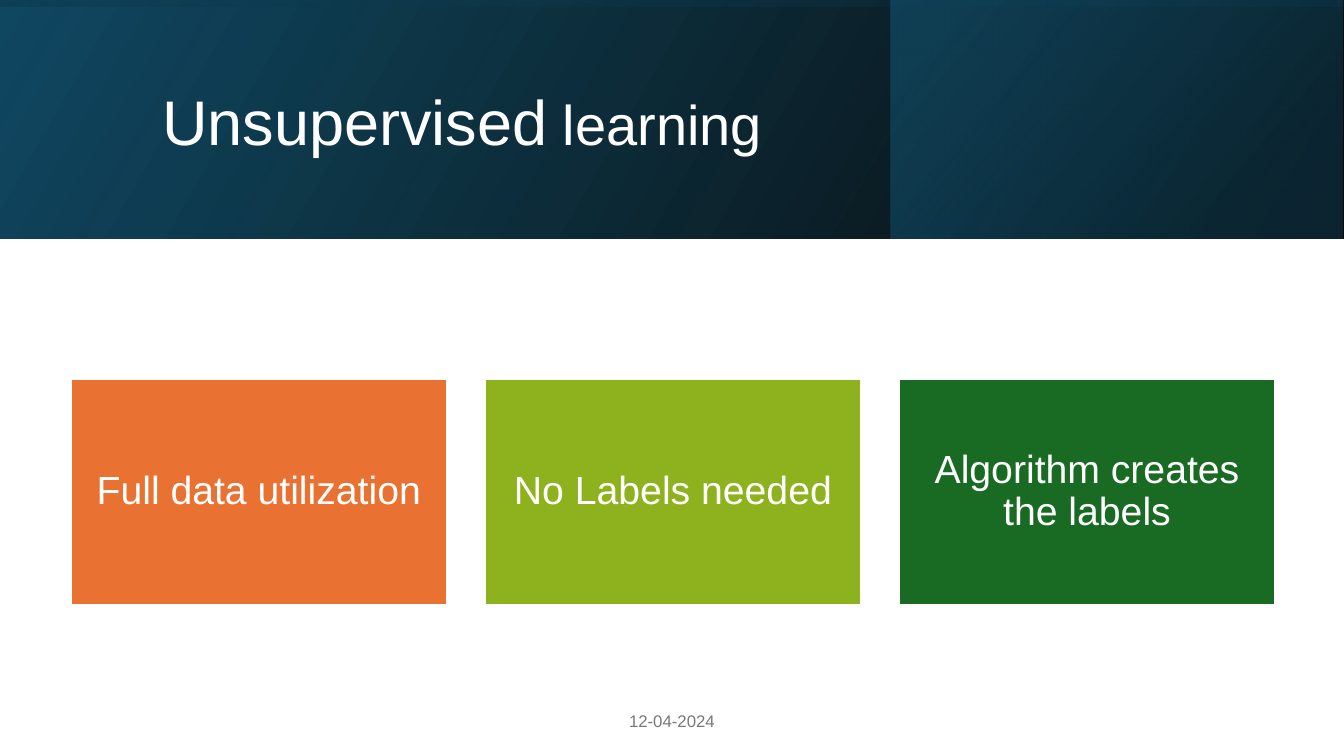
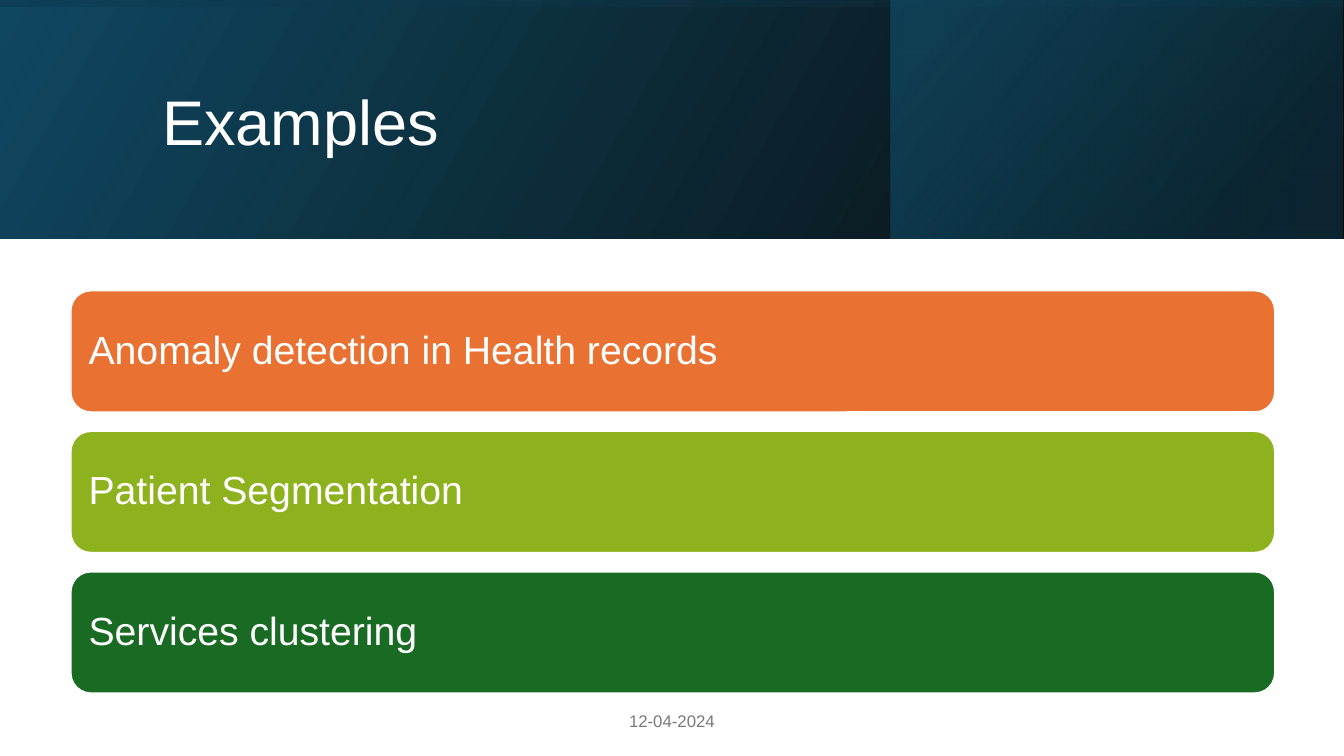
import pptx
import pptx.util
import pptx.dml.color
import pptx.enum.shapes
import pptx.enum.text
import pptx.oxml
import pptx.oxml.ns

Pt = pptx.util.Pt
SHAPES = pptx.enum.shapes.MSO_SHAPE
ALIGN = pptx.enum.text.PP_ALIGN

SLIDE_WIDTH, SLIDE_HEIGHT = 960, 540
BAND_HEIGHT = 170.64
CONTENT_LEFT, CONTENT_WIDTH = 50.4, 860.4
FONT = "Arial"
COLORS = {
    "white": "FFFFFF",
    "black": "000000",
    "navy": "0B3041",
    "blue": "104862",
    "teal": "156082",
    "orange": "E97132",
    "lime": "8EB21E",
    "green": "196B24",
    "gray": "797979",
}
ITEM_COLORS = ("orange", "lime", "green")


def rgb(name):
    return pptx.dml.color.RGBColor.from_string(COLORS[name])


def write_text(shape, text, size=28, color="white", align=ALIGN.LEFT,
               line_spacing=0.9, inset=None):
    """Fill a shape with one paragraph; text is a string or (string, size) runs."""
    frame = shape.text_frame
    frame.word_wrap = True
    frame.vertical_anchor = pptx.enum.text.MSO_ANCHOR.MIDDLE
    if inset is not None:
        frame.margin_left = frame.margin_right = Pt(inset)
        frame.margin_top = frame.margin_bottom = Pt(inset)
    paragraph = frame.paragraphs[0]
    paragraph.alignment = align
    paragraph.line_spacing = line_spacing
    runs = [(text, size)] if isinstance(text, str) else text
    for run_text, run_size in runs:
        run = paragraph.add_run()
        run.text = run_text
        run.font.name = FONT
        run.font.size = Pt(run_size)
        run.font.color.rgb = rgb(color)


class Deck:
    def __init__(self):
        self.presentation = pptx.Presentation()
        self.presentation.slide_width = Pt(SLIDE_WIDTH)
        self.presentation.slide_height = Pt(SLIDE_HEIGHT)
        self.slide = None

    def add_slide(self, title):
        """Start a slide with its header bands, title and date."""
        self.slide = self.presentation.slides.add_slide(
            self.presentation.slide_layouts[6])
        self.add_header()
        write_text(self.add_text_box(108.7, 27.4, 765.4, 123.8), title, size=45)
        write_text(self.add_text_box(318, 500.4, 324, 28.8), "12-04-2024",
                   size=12, color="gray", align=ALIGN.CENTER, line_spacing=1.0)

    def add_header(self):
        self.add_gradient(0, 0, SLIDE_WIDTH, BAND_HEIGHT, 30,
                          [(0, "black", 96), (100, "blue", 100)])
        self.add_gradient(636.5, 0, 322.6, BAND_HEIGHT, 40,
                          [(19, "navy", 68), (100, "teal", 48)])
        offset = (SLIDE_WIDTH - BAND_HEIGHT) / 2
        overlay = self.add_gradient(offset, -offset, BAND_HEIGHT, SLIDE_WIDTH, 10,
                                    [(23, "blue", 16), (99, "black", 45)])
        overlay.rotation = 270

    def add_text_box(self, left, top, width, height):
        return self.slide.shapes.add_textbox(
            Pt(left), Pt(top), Pt(width), Pt(height))

    def add_shape(self, kind, left, top, width, height):
        shape = self.slide.shapes.add_shape(
            kind, Pt(left), Pt(top), Pt(width), Pt(height))
        shape.shadow.inherit = False
        return shape

    def add_gradient(self, left, top, width, height, angle, stops):
        """Add a mirrored gradient rectangle; stops are (position, color, opacity)."""
        shape = self.add_shape(SHAPES.RECTANGLE, left, top, width, height)
        shape.line.fill.background()
        shape.fill.gradient()
        shape.fill.gradient_angle = angle
        for stop, (position, color, _) in zip(shape.fill.gradient_stops, stops):
            stop.position = position / 100
            stop.color.rgb = rgb(color)
        properties = shape.element.spPr
        properties.xfrm.set("flipH", "1")
        color_elements = properties.iter(pptx.oxml.ns.qn("a:srgbClr"))
        for element, (_, _, opacity) in zip(color_elements, stops):
            alpha = pptx.oxml.parse_xml(
                f'<a:alpha {pptx.oxml.ns.nsdecls("a")} val="{opacity * 1000}"/>')
            element.append(alpha)
        return shape

    def add_item(self, kind, left, top, width, height, text, color, align):
        shape = self.add_shape(kind, left, top, width, height)
        shape.fill.solid()
        shape.fill.fore_color.rgb = rgb(color)
        shape.line.color.rgb = rgb("white")
        shape.line.width = Pt(1.5)
        write_text(shape, text, align=align, inset=8.64)

    def add_cards(self, texts, top=270.7, height=161.3, gap=27):
        """Add equal cards side by side across the content width."""
        width = (CONTENT_WIDTH - gap * (len(texts) - 1)) / len(texts)
        for index, (text, color) in enumerate(zip(texts, ITEM_COLORS)):
            self.add_item(SHAPES.RECTANGLE, CONTENT_LEFT + index * (width + gap),
                          top, width, height, text, color, ALIGN.CENTER)

    def add_rows(self, texts, top=207.4, height=87.1, gap=13.3):
        """Stack rounded bars over the full content width."""
        for index, (text, color) in enumerate(zip(texts, ITEM_COLORS)):
            self.add_item(SHAPES.ROUNDED_RECTANGLE, CONTENT_LEFT,
                          top + index * (height + gap), CONTENT_WIDTH, height,
                          text, color, ALIGN.LEFT)


def main():
    deck = Deck()
    deck.add_slide([("Unsupervised", 45), (" learning", 40)])
    deck.add_cards(["Full data utilization", "No Labels needed",
                    "Algorithm creates the labels"])
    deck.add_slide("Examples")
    deck.add_rows(["Anomaly detection in Health records", "Patient Segmentation",
                   "Services clustering"])
    deck.presentation.save("out.pptx")


if __name__ == "__main__":
    main()
